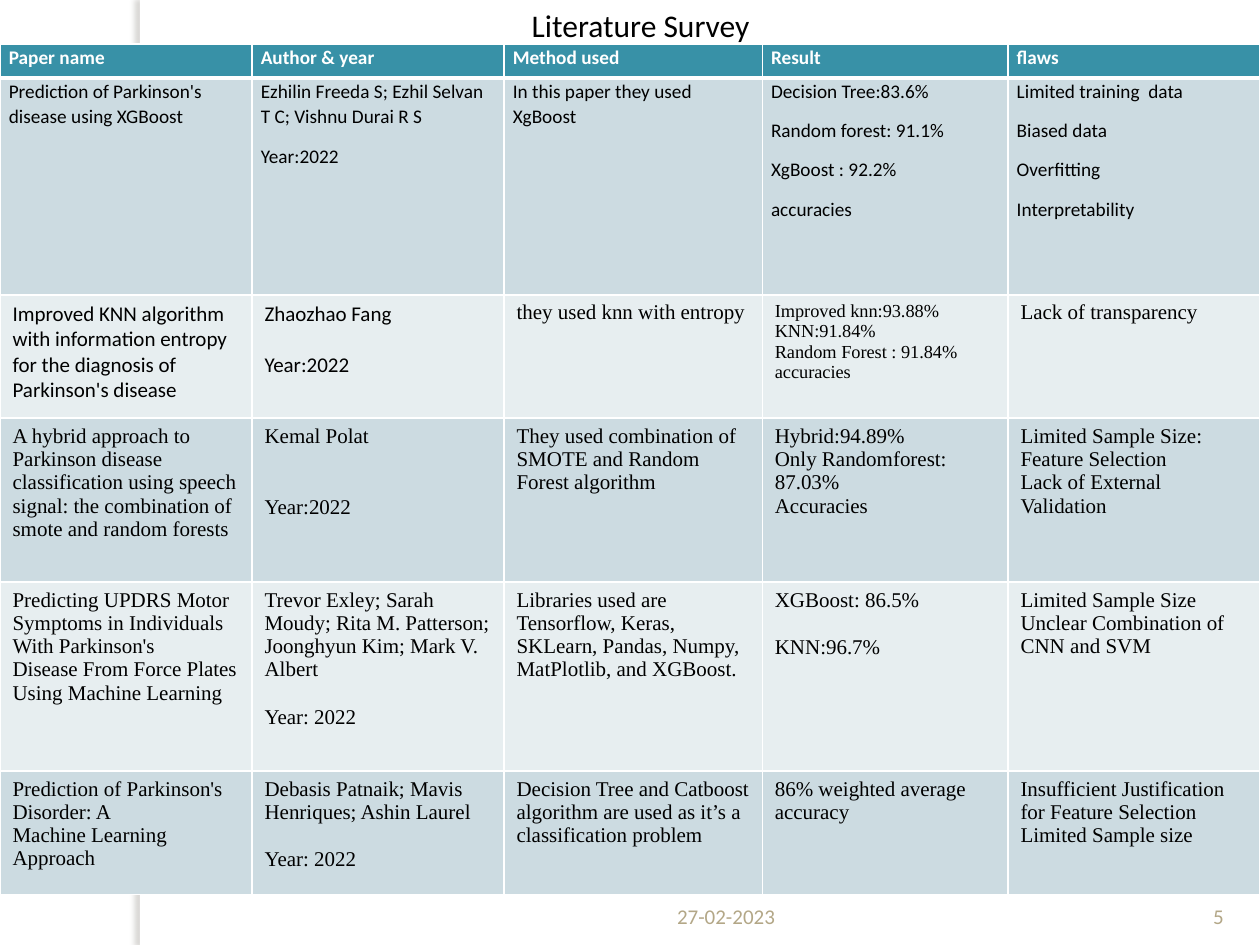
"""Build a literature survey slide with a table of five papers."""
from lxml import etree
from pptx import Presentation, util as u
from pptx.dml.color import RGBColor
from pptx.enum import shapes, text
from pptx.oxml import parse_xml
from pptx.oxml.ns import nsdecls

CALIBRI, TIMES = "Calibri", "Times New Roman"
COLS = [2, 2, 2.05, 1.95, 2]
ROWS = [0.27, 1.72, 0.98, 1.3, 1.5, 0.98]
FILLS = ["3891A7", "CCDBE1", "E7EEF0", "CCDBE1", "E7EEF0", "CCDBE1"]
CELLS = [
    ["Paper name", "Author & year", "Method used", "Result", "flaws"],
    ["Prediction of Parkinson's disease using XGBoost",
     "Ezhilin Freeda S; Ezhil Selvan T C; Vishnu Durai R S\nYear:2022",
     "In this paper they used XgBoost",
     "Decision Tree:83.6%\nRandom forest: 91.1%\nXgBoost : 92.2%\naccuracies",
     "Limited training  data\nBiased data\nOverfitting\nInterpretability"],
    ["Improved KNN algorithm with information entropy for the diagnosis of\nParkinson's disease",
     "Zhaozhao Fang\nYear:2022",
     "they used knn with entropy",
     "Improved knn:93.88%\nKNN:91.84%\nRandom Forest : 91.84%\naccuracies",
     "Lack of transparency"],
    ["A hybrid approach to Parkinson disease classification using speech signal: "
     "the combination of smote and random forests",
     "Kemal Polat\nYear:2022",
     "They used combination of SMOTE and Random\nForest algorithm",
     "Hybrid:94.89%\nOnly Randomforest:\n87.03%\nAccuracies",
     "Limited Sample Size:\nFeature Selection\nLack of External Validation"],
    ["Predicting UPDRS Motor Symptoms in Individuals With Parkinson's\n"
     "Disease From Force Plates Using Machine Learning",
     "Trevor Exley; Sarah Moudy; Rita M. Patterson; Joonghyun Kim; Mark V. Albert\nYear: 2022",
     "Libraries used are Tensorflow, Keras, SKLearn, Pandas, Numpy, MatPlotlib, and XGBoost.",
     "XGBoost: 86.5%\nKNN:96.7%",
     "Limited Sample Size\nUnclear Combination of CNN and SVM"],
    ["Prediction of Parkinson's Disorder: A\nMachine Learning Approach",
     "Debasis Patnaik; Mavis Henriques; Ashin Laurel\nYear: 2022",
     "Decision Tree and Catboost algorithm are used as it’s a classification problem",
     "86% weighted average accuracy",
     "Insufficient Justification for Feature Selection\nLimited Sample size"],
]
GAPS = {(2, 1): 15, (3, 1): 27.6, (4, 1): 13.8, (4, 3): 13.8, (5, 1): 13.8}


def rgb(value):
    return RGBColor.from_string(value)


def style(p, size, name, color, bold=False):
    for r in p.runs:
        r.font.size, r.font.name, r.font.bold = u.Pt(size), name, bold
        r.font.color.rgb = rgb(color)


prs = Presentation()
prs.slide_width, prs.slide_height = u.Inches(10), u.Inches(7.5)
s = prs.slides.add_slide(prs.slide_layouts[6])

sp = s.shapes.add_shape(shapes.MSO_SHAPE.RECTANGLE, u.Inches(1.11), 0,
                        u.Inches(0.08), prs.slide_height)
sp.fill.solid()
sp.fill.fore_color.rgb = rgb("FFFFFF")
sp.line.fill.background()
sp.shadow.inherit = False
effects = sp._element.spPr.find("{*}effectLst")
effects.append(parse_xml(
    f'<a:outerShdw {nsdecls("a")} blurRad="{u.Pt(3)}" dist="{u.Pt(3)}" dir="10800000" '
    'algn="tl" rotWithShape="0"><a:srgbClr val="6F6A5F"><a:alpha val="25000"/>'
    '</a:srgbClr></a:outerShdw>'))

LABELS = [
    ("27-02-2023", 3.92, 6.9, 2.33, 0.52, 12, "B3A787", text.PP_ALIGN.RIGHT, text.MSO_ANCHOR.BOTTOM),
    ("5", 9.42, 6.9, 0.5, 0.52, 12, "B3A787", text.PP_ALIGN.CENTER, text.MSO_ANCHOR.BOTTOM),
    ("Literature Survey", 1.21, 0, 7.75, 0.4, 18, "000000", text.PP_ALIGN.CENTER, text.MSO_ANCHOR.TOP),
]
for words, x, y, w, h, size, color, align, anchor in LABELS:
    tf = s.shapes.add_textbox(*map(u.Inches, (x, y, w, h))).text_frame
    tf.word_wrap = True
    tf.vertical_anchor = anchor
    tf.text = words
    tf.paragraphs[0].alignment = align
    style(tf.paragraphs[0], size, CALIBRI, color)

table = s.shapes.add_table(len(ROWS), len(COLS), 0, u.Inches(0.35),
                           prs.slide_width, u.Inches(sum(ROWS))).table
for column, width in zip(table.columns, COLS):
    column.width = u.Inches(width)
for i, height in enumerate(ROWS):
    table.rows[i].height = u.Inches(height)
    for j, words in enumerate(CELLS[i]):
        cell = table.cell(i, j)
        compact = i < 2
        cell.margin_left = cell.margin_right = u.Inches(0.07 if compact else 0.1)
        cell.margin_top = cell.margin_bottom = u.Inches(0 if compact else 0.05)
        for side in "LRTB":
            thick = (i, side) in [(0, "B"), (1, "T")]
            cell._tc.get_or_add_tcPr().append(etree.fromstring(
                f'<a:ln{side} {nsdecls("a")} w="{u.Pt(3 if thick else 1)}"><a:solidFill>'
                f'<a:srgbClr val="FFFFFF"/></a:solidFill></a:ln{side}>'))
        cell.fill.solid()
        cell.fill.fore_color.rgb = rgb(FILLS[i])
        cell.text_frame.text = words
        size = 11 if compact else 10.5 if (i, j) == (2, 3) else 12
        name = CALIBRI if compact or (i == 2 and j < 2) else TIMES
        for k, p in enumerate(cell.text_frame.paragraphs):
            if compact:
                p.line_spacing = 1.07
            if k:
                p.space_before = u.Pt(8 if compact else GAPS.get((i, j), 0))
            style(p, size, name, "000000" if i else "FFFFFF", i == 0)

prs.save("out.pptx")
